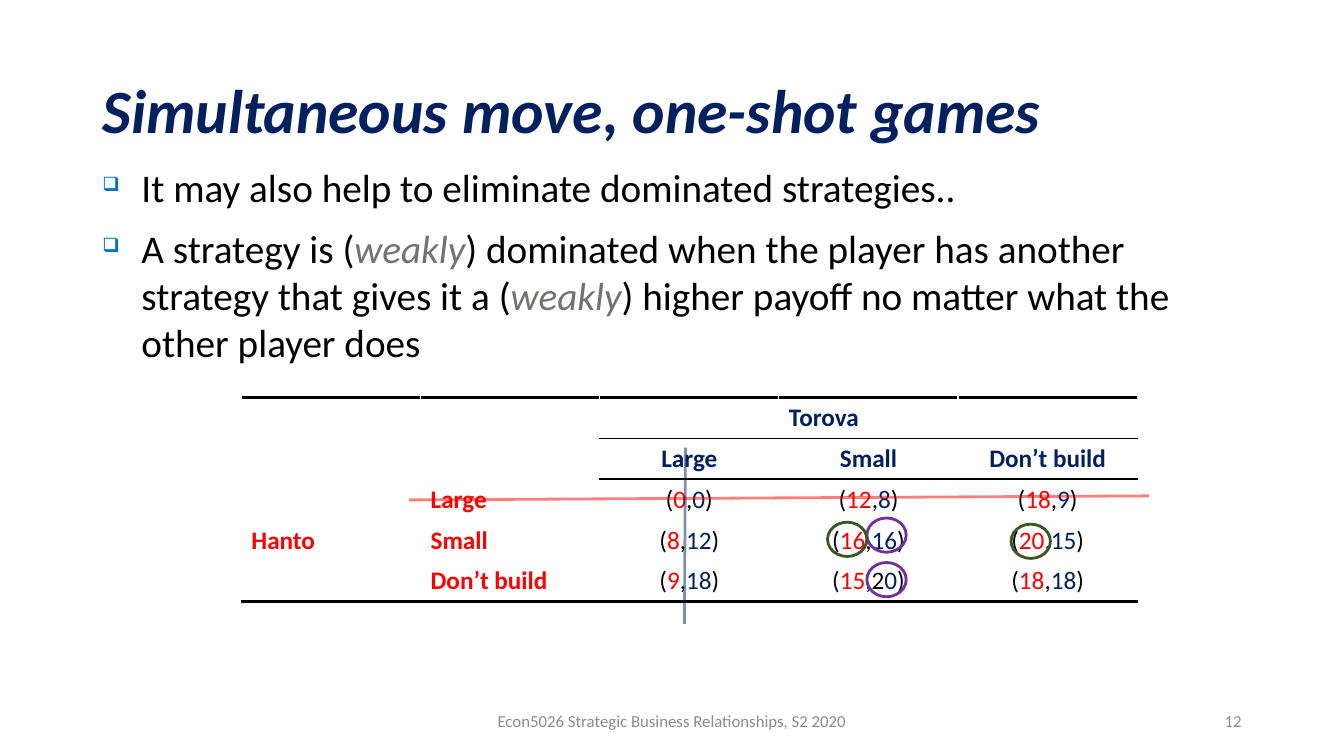
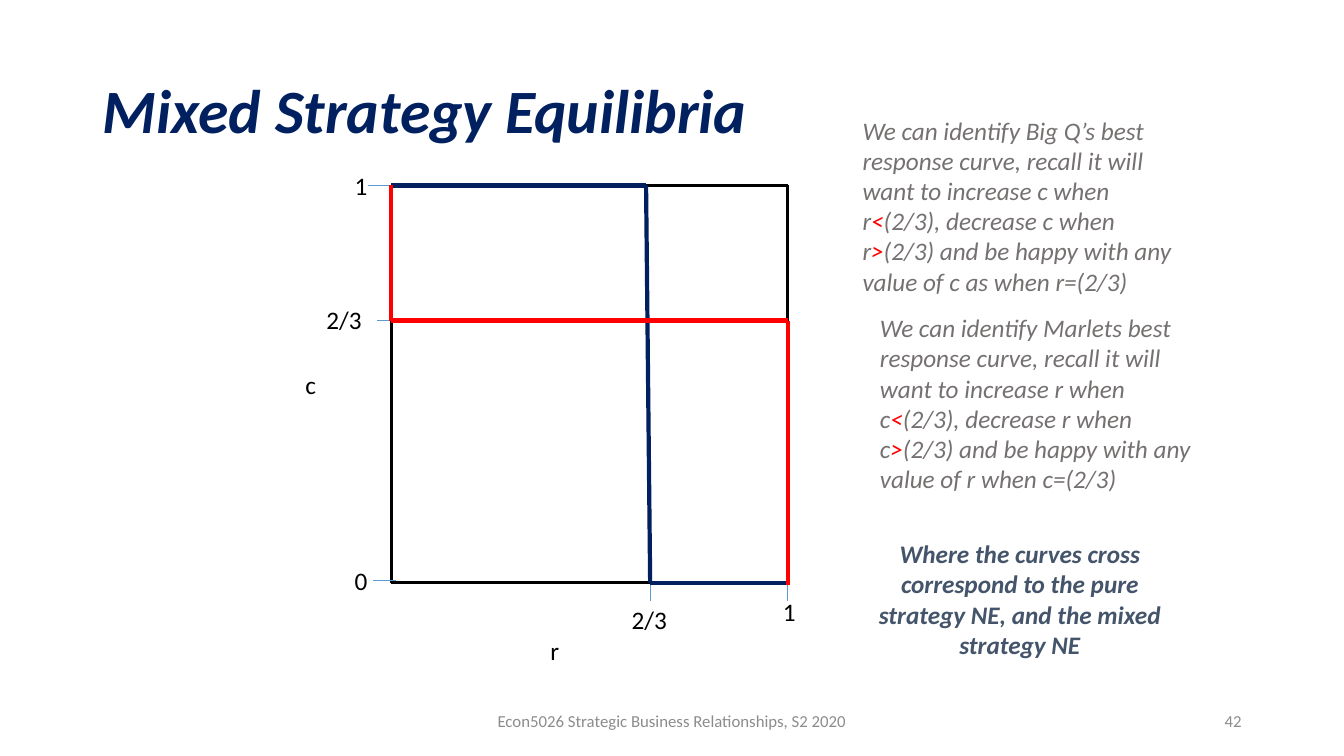
from dataclasses import dataclass
from typing import NamedTuple

from lxml.etree import SubElement
from pptx import Presentation
from pptx.dml.color import RGBColor
from pptx.enum.shapes import MSO_CONNECTOR, MSO_SHAPE
from pptx.enum.text import MSO_ANCHOR as Anchor, MSO_AUTO_SIZE as AutoSize, PP_ALIGN as Align
from pptx.oxml.ns import qn
from pptx.util import Pt


@dataclass(frozen=True)
class Theme:
    font: str = "Calibri"
    navy: str = "002060"
    red: str = "FF0000"
    black: str = "000000"
    white: str = "FFFFFF"
    grey: str = "767171"
    slate: str = "44546A"
    footer: str = "8C8C8C"
    bullet: str = "0070C0"
    tick: str = "5B9BD5"
    purple: str = "7030A0"
    green: str = "385723"
    title_size: float = 44
    body_size: float = 28
    text_size: float = 18
    footer_size: float = 12


THEME = Theme()


class Run(NamedTuple):
    text: str
    color: str | None = None
    italic: bool | None = None


class Box(NamedTuple):
    left: float
    top: float
    width: float
    height: float


class Line(NamedTuple):
    x1: float
    y1: float
    x2: float
    y2: float
    color: str
    width: float


class Label(NamedTuple):
    text: str
    box: Box
    align: Align = Align.LEFT


# Shared helpers

def write(paragraph, content, *, size=THEME.text_size, color=THEME.black, bold=False,
          italic=False, align=Align.LEFT, line_spacing=None) -> None:
    """Fill a paragraph with a string or a list of runs."""
    paragraph.alignment = align
    if line_spacing:
        paragraph.line_spacing = line_spacing
    for item in [Run(content)] if isinstance(content, str) else content:
        run = paragraph.add_run()
        run.text = item.text
        font = run.font
        font.name, font.size, font.bold = THEME.font, Pt(size), bold
        font.italic = italic if item.italic is None else item.italic
        font.color.rgb = RGBColor.from_string(item.color or color)


def place(shape, box: Box) -> None:
    shape.left, shape.top, shape.width, shape.height = map(Pt, box)


def add_text(slide, box: Box, content, *, anchor=Anchor.TOP, **text_format):
    frame = slide.shapes.add_textbox(*map(Pt, box)).text_frame
    frame.word_wrap = True
    frame.vertical_anchor = anchor
    write(frame.paragraphs[0], content, **text_format)
    return frame


def add_line(slide, line: Line, alpha: int | None = None) -> None:
    ends = map(Pt, line[:4])
    connector = slide.shapes.add_connector(MSO_CONNECTOR.STRAIGHT, *ends)
    connector.line.width = Pt(line.width)
    connector.line.color.rgb = RGBColor.from_string(line.color)
    properties = connector._element.spPr
    if alpha is not None:
        color = properties.find(".//" + qn("a:srgbClr"))
        SubElement(color, qn("a:alpha"), val=str(alpha * 1000))
    SubElement(properties, qn("a:effectLst"))


def add_bullet(paragraph) -> None:
    properties = paragraph._p.get_or_add_pPr()
    properties.set("marL", str(Pt(28)))
    properties.set("indent", str(Pt(-28)))
    color = SubElement(properties, qn("a:buClr"))
    SubElement(color, qn("a:srgbClr"), val=THEME.bullet)
    SubElement(properties, qn("a:buSzPct"), val="50000")
    SubElement(properties, qn("a:buChar"), char="❑")


def new_slide(presentation, title: str, number: int):
    """Add a slide with its title, footer and number."""
    slide = presentation.slides.add_slide(presentation.slide_layouts[5])
    heading = slide.shapes.title
    place(heading, Box(66, 29, 828, 104.4))
    frame = heading.text_frame
    frame.auto_size = AutoSize.NONE
    frame.vertical_anchor = Anchor.MIDDLE
    write(frame.paragraphs[0], title, size=THEME.title_size, color=THEME.navy,
          bold=True, italic=True, line_spacing=0.9)
    footers = [
        Label("Econ5026 Strategic Business Relationships, S2 2020",
              Box(318, 500.5, 324, 28.8), Align.CENTER),
        Label(str(number), Box(678, 500.5, 216, 28.8), Align.RIGHT),
    ]
    for label in footers:
        add_text(slide, label.box, label.text, anchor=Anchor.MIDDLE, align=label.align,
                 size=THEME.footer_size, color=THEME.footer)
    return slide


# Payoff table

COLUMNS, ROWS = 5, 5
COLUMN_WIDTH, ROW_HEIGHT = 128, 29.2
FIRST_PAYOFF_COLUMN = 2


def payoff(row_player: str, column_player: str, separator: str = ",") -> list[Run]:
    return [Run("("), Run(row_player, THEME.red), Run(separator),
            Run(column_player, THEME.navy), Run(")")]


STRATEGIES = ["Large", "Small", "Don’t build"]
PAYOFFS = [
    [payoff("0", "0"), payoff("12", "8"), payoff("18", "9")],
    [payoff("8", "12"), payoff("16", "16"), payoff("20", "15")],
    [payoff("9", "18"), payoff("15", "0", ",2"), payoff("18", "18")],
]


def rule(edge: int, column: int) -> tuple[str, float]:
    """Colour and width of the horizontal border above row number `edge`."""
    if edge in (0, ROWS):
        return THEME.black, 2.25
    if edge in (1, 2) and column >= FIRST_PAYOFF_COLUMN:
        return THEME.black, 1
    return THEME.white, 1


def set_borders(cell, row: int, column: int) -> None:
    properties = cell._tc.get_or_add_tcPr()
    side = (THEME.white, 1)
    borders = {"a:lnL": side, "a:lnR": side,
               "a:lnT": rule(row, column), "a:lnB": rule(row + 1, column)}
    for tag, (color, width) in borders.items():
        border = SubElement(properties, qn(tag), w=str(Pt(width)))
        fill = SubElement(border, qn("a:solidFill"))
        SubElement(fill, qn("a:srgbClr"), val=color)


def add_payoff_table(slide) -> None:
    box = Box(172.4, 283.8, COLUMNS * COLUMN_WIDTH, ROWS * ROW_HEIGHT)
    table = slide.shapes.add_table(ROWS, COLUMNS, *map(Pt, box)).table
    table.first_row = table.horz_banding = False
    for column in table.columns:
        column.width = Pt(COLUMN_WIDTH)
    for row in table.rows:
        row.height = Pt(ROW_HEIGHT)
    for row in range(ROWS):
        for column in range(COLUMNS):
            cell = table.cell(row, column)
            set_borders(cell, row, column)
            cell.fill.background()

    def fill(row: int, column: int, content, **text_format) -> None:
        write(table.cell(row, column).text_frame.paragraphs[0], content, **text_format)

    fill(0, 3, "Torova", color=THEME.navy, bold=True)
    fill(3, 0, "Hanto", color=THEME.red, bold=True)
    for index, strategy in enumerate(STRATEGIES):
        fill(1, FIRST_PAYOFF_COLUMN + index, strategy, color=THEME.navy, bold=True,
             align=Align.CENTER)
        fill(2 + index, 1, strategy, color=THEME.red, bold=True)
        for offset, runs in enumerate(PAYOFFS[index]):
            fill(2 + index, FIRST_PAYOFF_COLUMN + offset, runs, align=Align.CENTER)


def build_dominance_slide(presentation) -> None:
    slide = new_slide(presentation, "Simultaneous move, one-shot games", 12)

    # Bulleted text
    weakly = Run("weakly", THEME.grey, True)
    points = [
        "It may also help to eliminate dominated strategies..",
        [Run("A strategy is ("), weakly,
         Run(") dominated when the player has another strategy that gives it a ("), weakly,
         Run(") higher payoff no matter what the other player does")],
    ]
    frame = add_text(slide, Box(66, 113, 828, 165), points[0], size=THEME.body_size)
    second = frame.add_paragraph()
    second.space_before = Pt(10)
    write(second, points[1], size=THEME.body_size)
    for paragraph in frame.paragraphs:
        add_bullet(paragraph)

    add_payoff_table(slide)

    # Best responses
    rings = [(619.2, 370, THEME.purple), (619.2, 401.8, THEME.purple),
             (591.1, 373, THEME.green), (722.2, 374.4, THEME.green)]
    for left, top, color in rings:
        ring = slide.shapes.add_shape(MSO_SHAPE.OVAL, *map(Pt, Box(left, top, 28.1, 24.5)))
        ring.shadow.inherit = False
        ring.fill.background()
        ring.line.color.rgb = RGBColor.from_string(color)
        ring.line.width = Pt(2)

    # Eliminated strategies
    add_line(slide, Line(292.3, 357.1, 820.8, 354.2, THEME.red, 2), alpha=50)
    add_line(slide, Line(489.6, 319.7, 488.9, 445.7, THEME.navy, 2), alpha=50)


# Best response diagram

LEFT, RIGHT, TOP, BOTTOM = 279.4, 562.6, 132.5, 416.2
R_MIXED, C_MIXED = 464.4, 229
TICK = 16.5


def build_equilibria_slide(presentation) -> None:
    slide = new_slide(presentation, "Mixed Strategy Equilibria", 42)

    # Frame, then axis ticks
    corners = [(LEFT, TOP), (LEFT, BOTTOM), (RIGHT, BOTTOM), (RIGHT, TOP)]
    for start, end in zip(corners, corners[1:] + corners[:1]):
        add_line(slide, Line(*start, *end, THEME.black, 2))
    for x, y in [(262.8, TOP), (266.4, 414.7), (269.3, C_MIXED)]:
        add_line(slide, Line(x, y, x + TICK, y, THEME.tick, 0.5))
    for x in (R_MIXED, RIGHT):
        add_line(slide, Line(x, BOTTOM, x, 429, THEME.tick, 0.5))

    # Axis names and values
    labels = [
        Label("c", Box(211, 260, 19.4, 29)),
        Label("r", Box(379.4, 450, 33.8, 29), Align.CENTER),
        Label("0", Box(246.2, 400.3, 24, 29)),
        Label("1", Box(246.2, 118.1, 24, 29)),
        Label("1", Box(552.2, 422.6, 24, 29)),
        Label("2/3", Box(226.1, 213.8, 41, 29)),
        Label("2/3", Box(444.2, 428.4, 41, 29)),
    ]
    for label in labels:
        add_text(slide, label.box, label.text, align=label.align)

    # Best response curves
    curves = [
        (THEME.navy, [(LEFT, TOP), (461.5, TOP), (R_MIXED, BOTTOM), (RIGHT, BOTTOM)]),
        (THEME.red, [(LEFT, TOP), (LEFT, C_MIXED), (RIGHT, C_MIXED), (RIGHT, 418)]),
    ]
    for color, points in curves:
        for start, end in zip(points, points[1:]):
            add_line(slide, Line(*start, *end, color, 3))

    # Explanations
    less, more = Run("<", THEME.red), Run(">", THEME.red)
    notes = [
        (Box(609, 78.5, 239, 138),
         [Run("We can identify Big Q’s best response curve, recall it will "
              "want to increase c when r"), less, Run("(2/3), decrease c when r"), more,
          Run("(2/3) and be happy with any value of c as when r=(2/3)")]),
        (Box(621.4, 219.6, 239, 138),
         [Run("We can identify Marlets best response curve, recall it will "
              "want to increase r when c"), less, Run("(2/3), decrease r when c"), more,
          Run("(2/3) and be happy with any value of r when c=(2/3)")]),
    ]
    for box, runs in notes:
        add_text(slide, box, runs, color=THEME.grey, italic=True)
    add_text(slide, Box(609, 381, 239, 94.5),
             "Where the curves cross correspond to the pure strategy NE, "
             "and the mixed strategy NE",
             color=THEME.slate, bold=True, italic=True, align=Align.CENTER)


def main() -> None:
    presentation = Presentation()
    presentation.slide_width, presentation.slide_height = Pt(960), Pt(540)
    build_dominance_slide(presentation)
    build_equilibria_slide(presentation)
    presentation.save("out.pptx")


if __name__ == "__main__":
    main()
